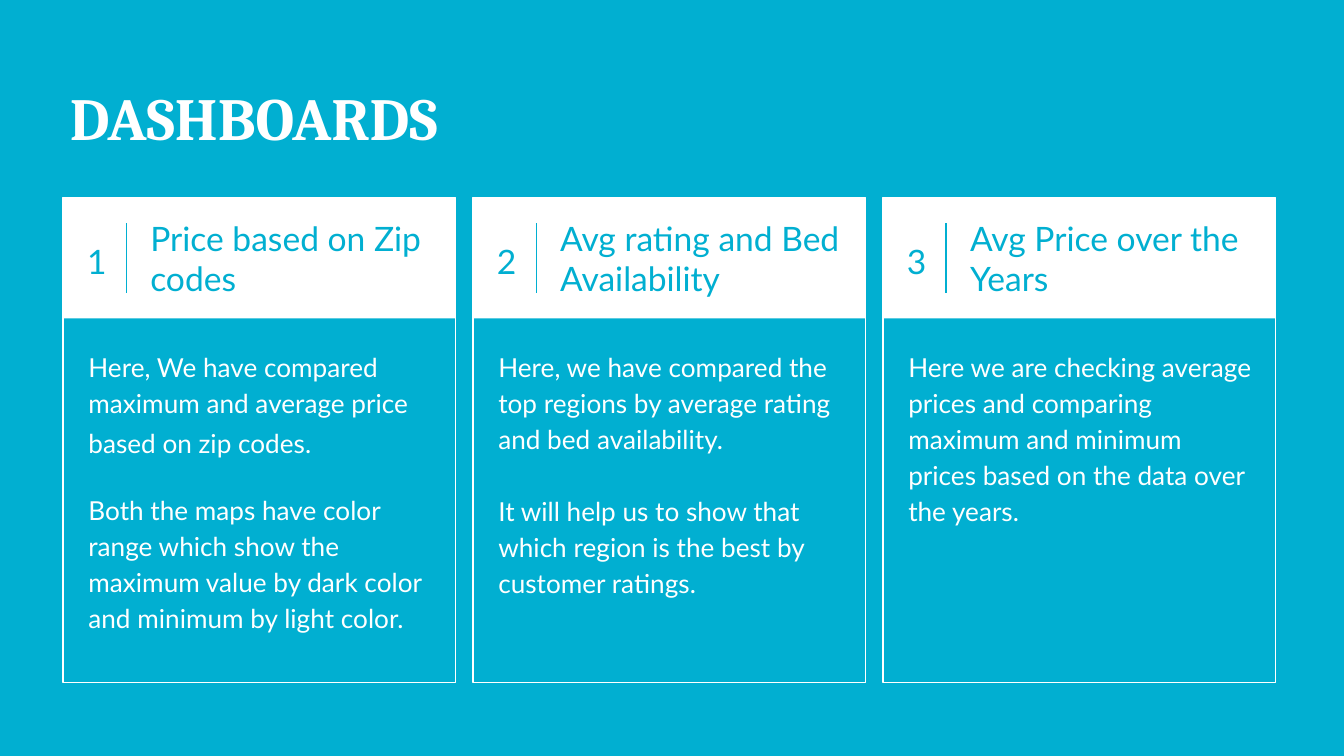
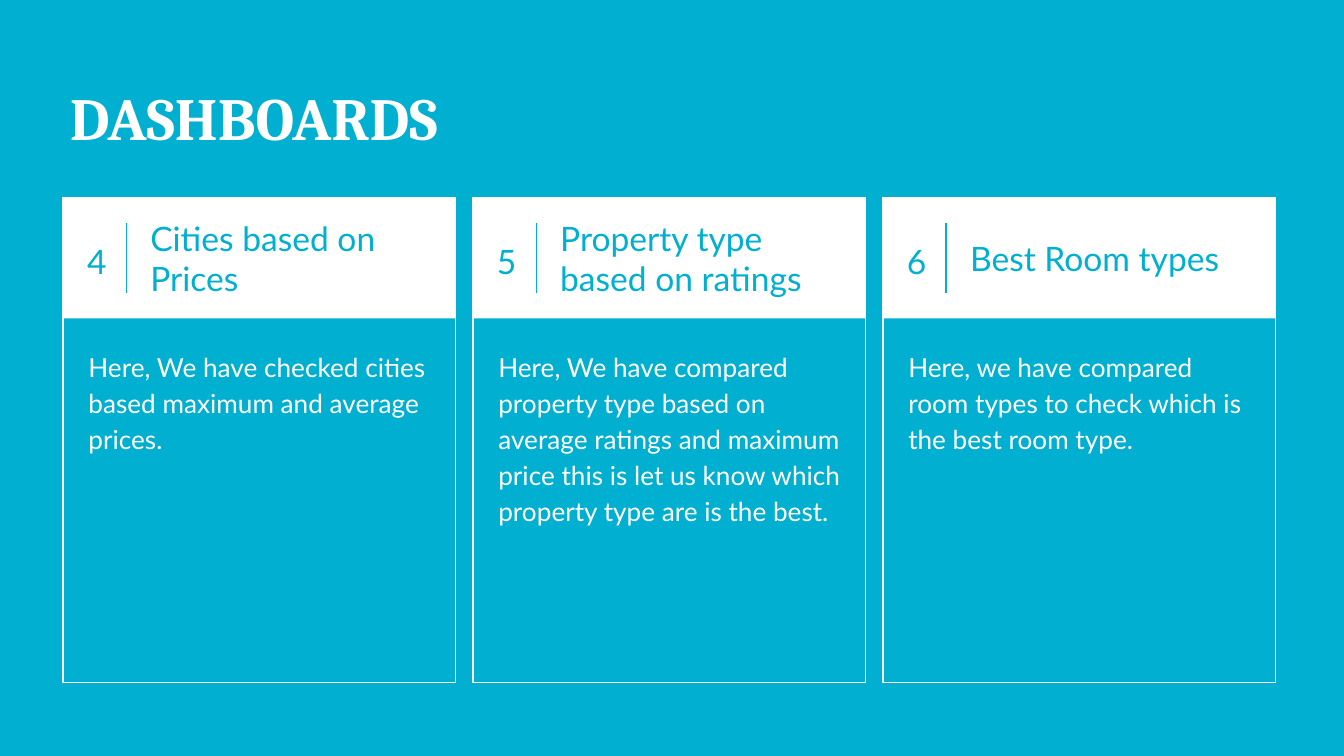
import pptx
import pptx.util
import pptx.dml.color
import pptx.enum.shapes
import pptx.enum.text
import lxml.etree

Inches, Pt = pptx.util.Inches, pptx.util.Pt
ANCHOR, ALIGN = pptx.enum.text.MSO_ANCHOR, pptx.enum.text.PP_ALIGN
RECT = pptx.enum.shapes.MSO_SHAPE.RECTANGLE

TEAL, WHITE = "01AFD1", "FFFFFF"
HEADING_FONT, BODY_FONT = "Cambria", "Lato"

# Three equal columns; every card part is placed from its column's left edge
LEFT, TOP, PITCH = 0.47, 1.47, 3.05
CARD_W, CARD_H, HEAD_H = 2.92, 3.61, 0.9

# Each card: heading, space before its later paragraphs, paragraphs as (text, size, font) runs
SLIDES = [
    [
        ("Price based on Zip codes", 16, [
            [("Here, We have compared maximum and average price based on zip codes.", 14, BODY_FONT),
             (" ", 16, "Arial")],
            [("Both the maps have color range which show the maximum value by dark color "
              "and minimum by light color.", 14, BODY_FONT)]]),
        ("Avg rating and Bed Availability", 19.3, [
            [("Here, we have compared the top regions by average rating and bed availability.",
              14, BODY_FONT)],
            [("It will help us to show that which region is the best by customer ratings.",
              14, BODY_FONT)]]),
        ("Avg Price over the Years", 0, [
            [("Here we are checking average prices and comparing maximum and minimum prices "
              "based on the data over the years.", 14, BODY_FONT)]]),
    ],
    [
        ("Cities based on Prices", 0, [
            [("Here, We have checked cities based maximum and average prices.", 14, BODY_FONT)]]),
        ("Property type based on ratings", 0, [
            [("Here, We have compared property type based on average ratings and maximum price "
              "this is let us know which property type are is the best.", 14, BODY_FONT)]]),
        ("Best Room types", 0, [
            [("Here, we have compared room types to check which is the best room type.",
              14, BODY_FONT)]]),
    ],
]


def rgb(color):
    return pptx.dml.color.RGBColor.from_string(color)


def write_text(sp, paragraphs, color, anchor=ANCHOR.TOP, align=ALIGN.LEFT, spacing=1.0,
               gap=0, bold=False):
    """Fill a shape with paragraphs of (text, size, font) runs; gap separates paragraphs."""
    tf = sp.text_frame
    tf.word_wrap = True
    tf.auto_size = pptx.enum.text.MSO_AUTO_SIZE.NONE
    tf.vertical_anchor = anchor
    tf.margin_left = tf.margin_right = tf.margin_top = tf.margin_bottom = Inches(0.1)
    for i, runs in enumerate(paragraphs):
        p = tf.add_paragraph() if i else tf.paragraphs[0]
        p.alignment = align
        p.line_spacing = spacing
        p.space_before = Pt(gap if i else 0)
        for text, size, font in runs:
            r = p.add_run()
            r.text = text
            r.font.size = Pt(size)
            r.font.name = font
            r.font.bold = bold
            r.font.color.rgb = rgb(color)


prs = pptx.Presentation()
prs.slide_width = Inches(10)
prs.slide_height = Inches(10 * 9 / 16)
background = prs.slide_master.background.fill
background.solid()
background.fore_color.rgb = rgb(TEAL)

number = 0
for cards in SLIDES:
    s = prs.slides.add_slide(prs.slide_layouts[5])
    title = s.shapes.title
    title.left, title.top = Inches(0.42), Inches(0.5)
    title.width, title.height = Inches(9.15), Inches(0.75)
    write_text(title, [[("DASHBOARDS", 32, HEADING_FONT)]], WHITE, bold=True)

    for column, (heading, gap, paragraphs) in enumerate(cards):
        number += 1
        x = LEFT + column * PITCH

        panel = s.shapes.add_group_shape()
        frame, head = [
            panel.shapes.add_shape(RECT, Inches(x), Inches(TOP), Inches(CARD_W), Inches(height))
            for height in (CARD_H, HEAD_H)]
        frame.shadow.inherit = head.shadow.inherit = False
        frame.fill.background()
        frame.line.color.rgb = rgb(WHITE)
        frame.line.width = Pt(0.75)
        head.fill.solid()
        head.fill.fore_color.rgb = rgb(WHITE)
        head.line.fill.background()

        sp = s.shapes.add_textbox(Inches(x + 0.06), Inches(TOP), Inches(0.38), Inches(HEAD_H))
        write_text(sp, [[(str(number), 18, BODY_FONT)]], TEAL, ANCHOR.MIDDLE, ALIGN.CENTER, 1.15)

        divider = s.shapes.add_connector(
            pptx.enum.shapes.MSO_CONNECTOR.STRAIGHT,
            Inches(x + 0.47), Inches(TOP + 0.19), Inches(x + 0.47), Inches(TOP + 0.71))
        divider.line.color.rgb = rgb(TEAL)
        divider.line.width = Pt(0.75)
        lxml.etree.SubElement(divider.line._get_or_add_ln().getparent(),
                              pptx.oxml.ns.qn("a:effectLst"))

        sp = s.shapes.add_textbox(Inches(x + 0.55), Inches(TOP), Inches(2.3), Inches(HEAD_H))
        write_text(sp, [[(heading, 18, BODY_FONT)]], TEAL, ANCHOR.MIDDLE)

        sp = s.shapes.add_textbox(Inches(x + 0.09), Inches(2.48), Inches(2.77), Inches(2.6))
        write_text(sp, paragraphs, WHITE, spacing=1.15, gap=gap)

prs.save("out.pptx")
